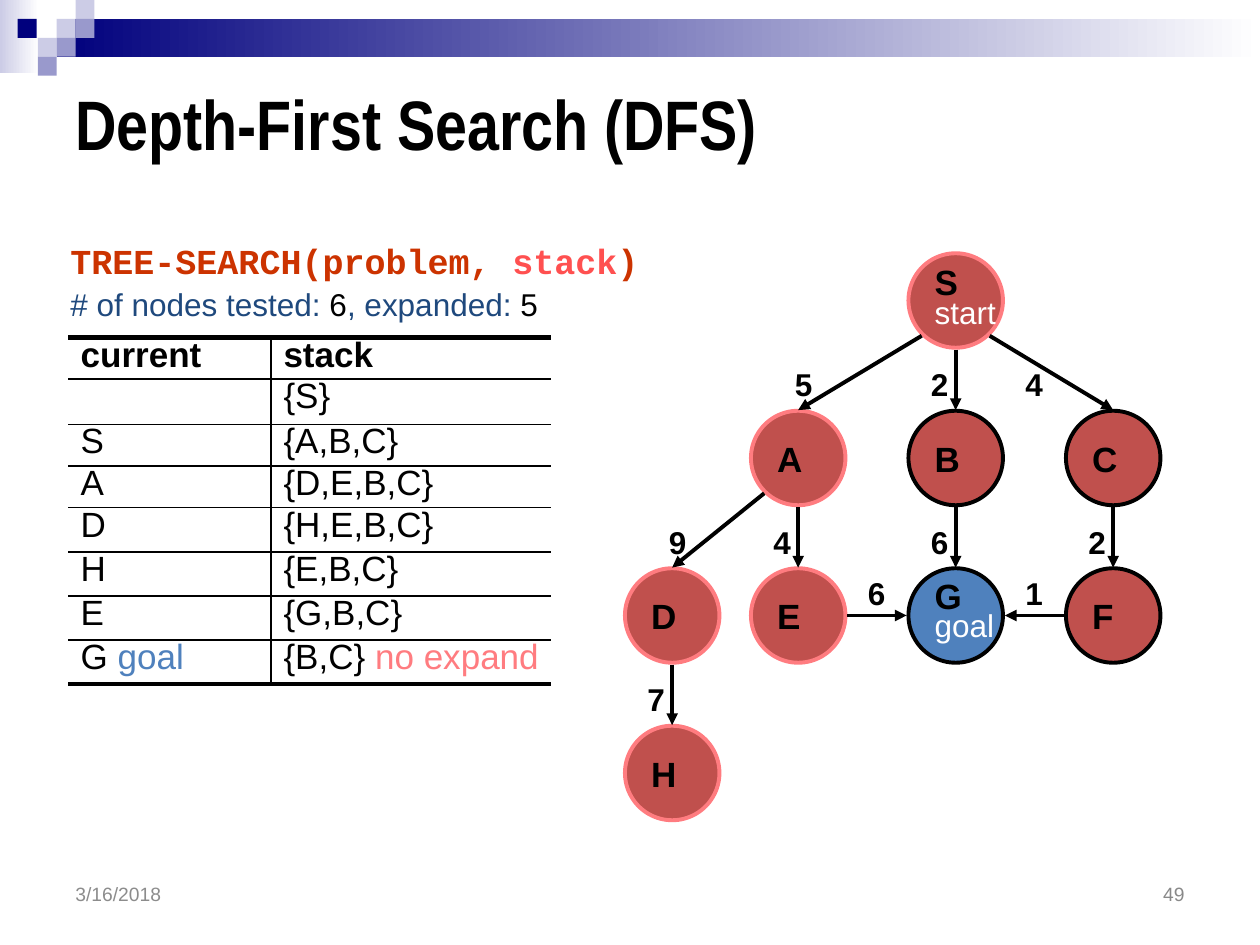
import dataclasses
import typing

import lxml.etree
import pptx
import pptx.dml.color
import pptx.enum.shapes
import pptx.enum.text
import pptx.oxml.ns
import pptx.util

Inches = pptx.util.Inches
Pt = pptx.util.Pt
SHAPE = pptx.enum.shapes.MSO_SHAPE
ANCHOR = pptx.enum.text.MSO_ANCHOR
ALIGN = pptx.enum.text.PP_ALIGN
AUTO = pptx.enum.text.MSO_AUTO_SIZE
qn = pptx.oxml.ns.qn

COLORS = {
    "black": "000000", "white": "FFFFFF", "navy": "00007D", "lilac": "CCCCE6",
    "violet": "9999CC", "red": "C0504D", "blue": "4F81BD", "pink": "FF7C80",
    "dark_blue": "1F497D", "rust": "CC3300", "coral": "FF5050",
    "date": "8C8C8C", "number": "898989",
}
NODE_SIZE = 0.75
ROW_TOPS = [2.01, 3.26, 4.51, 5.76]
COL_LEFTS = [4.96, 5.96, 7.21, 8.46]
TILE = 0.15


class Run(typing.NamedTuple):
    text: str
    size: float = 20
    color: str = "black"
    bold: bool = False
    name: str = "Arial"


class Para(typing.NamedTuple):
    runs: list[Run]
    fmt: dict[str, typing.Any] = {}


@dataclasses.dataclass
class Node:
    name: str
    col: int
    row: int
    line: str = "pink"
    fill: str = "red"
    paras: list[Para] | None = None

    @property
    def center(self) -> tuple[float, float]:
        return COL_LEFTS[self.col] + NODE_SIZE / 2, ROW_TOPS[self.row] + NODE_SIZE / 2


@dataclasses.dataclass
class Edge:
    start: str
    end: str
    weight: str
    label_dx: float = -0.295


NODES = [
    Node("S", 2, 0, paras=[Para([Run("S\n", bold=True), Run("start", 18, "white")],
                                {"line_spacing": 0.75})]),
    Node("A", 1, 1),
    Node("B", 2, 1, "black"),
    Node("C", 3, 1, "black"),
    Node("D", 0, 2),
    Node("E", 1, 2),
    Node("G", 2, 2, "black", "blue", [
        Para([Run("G", bold=True)], {"line_spacing": 0.65}),
        Para([Run("goal", 18, "white")], {"line_spacing": 0.75})]),
    Node("F", 3, 2, "black"),
    Node("H", 0, 3),
]
EDGES = [
    Edge("S", "A", "5", -0.125), Edge("S", "B", "2"), Edge("S", "C", "4", -0.795),
    Edge("A", "D", "9", -0.125), Edge("A", "E", "4"), Edge("B", "G", "6"),
    Edge("C", "F", "2"), Edge("E", "G", "6"), Edge("F", "G", "1"), Edge("D", "H", "7"),
]
TABLE_ROWS = [
    ([Run("current", bold=True)], [Run("stack", bold=True)]),
    ([], [Run("{S}")]),
    ([Run("S")], [Run("{A,B,C}")]),
    ([Run("A")], [Run("{D,E,B,C}")]),
    ([Run("D")], [Run("{H,E,B,C}")]),
    ([Run("H")], [Run("{E,B,C}")]),
    ([Run("E")], [Run("{G,B,C}")]),
    ([Run("G "), Run("goal", color="blue")],
     [Run("{B,C} "), Run("no expand", color="pink")]),
]
ROW_HEIGHTS = [0.33, 0.36, 0.33, 0.33, 0.35, 0.35, 0.35, 0.35]
COL_WIDTHS = [1.61, 2.22]
TILES = [(0.45, 0.15, "lilac"), (0.6, 0, "lilac"), (0.6, 0.15, "violet"),
         (0.3, 0.3, "lilac"), (0.14, 0.15, "navy"), (0.45, 0.3, "violet"),
         (0.3, 0.45, "violet")]


def rgb(key: str) -> pptx.dml.color.RGBColor:
    return pptx.dml.color.RGBColor.from_string(COLORS[key])


def apply(obj: typing.Any, fmt: dict[str, typing.Any]) -> None:
    for key, value in fmt.items():
        setattr(obj, key, value)


def write(tf: typing.Any, paras: list[Para]) -> None:
    for i, para in enumerate(paras):
        p = tf.add_paragraph() if i else tf.paragraphs[0]
        apply(p, {"alignment": ALIGN.LEFT, **para.fmt})
        for run in para.runs:
            r = p.add_run()
            r.text = run.text.rstrip("\n")
            apply(r.font, {"size": Pt(run.size), "name": run.name, "bold": run.bold})
            r.font.color.rgb = rgb(run.color)
            if run.text.endswith("\n"):
                p.add_line_break()


def add_text(s: typing.Any, box: tuple[float, ...], runs: list[Run],
             frame: dict[str, typing.Any] | None = None, align: typing.Any = ALIGN.LEFT) -> None:
    tf = s.shapes.add_textbox(*map(Inches, box)).text_frame
    apply(tf, frame or {"word_wrap": False, "auto_size": AUTO.SHAPE_TO_FIT_TEXT})
    write(tf, [Para(runs, {"alignment": align})])


def add_rect(s: typing.Any, box: tuple[float, ...], color: str, fade: bool = False) -> None:
    sp = s.shapes.add_shape(SHAPE.RECTANGLE, *map(Inches, box))
    sp.shadow.inherit = False
    sp.line.fill.background()
    if fade:
        sp.fill.gradient()
        sp.fill.gradient_angle = 0
        for stop, key in zip(sp.fill.gradient_stops, (color, "white")):
            stop.color.rgb = rgb(key)
    else:
        sp.fill.solid()
        sp.fill.fore_color.rgb = rgb(color)


def add_node(s: typing.Any, node: Node) -> None:
    box = COL_LEFTS[node.col], ROW_TOPS[node.row], NODE_SIZE, NODE_SIZE
    sp = s.shapes.add_shape(SHAPE.OVAL, *map(Inches, box))
    sp.shadow.inherit = False
    sp.fill.solid()
    sp.fill.fore_color.rgb = rgb(node.fill)
    sp.line.color.rgb = rgb(node.line)
    sp.line.width = Pt(2.25)
    apply(sp.text_frame, {"word_wrap": False, "vertical_anchor": ANCHOR.MIDDLE})
    write(sp.text_frame, node.paras or [Para([Run(node.name, bold=True)])])


def add_edge(s: typing.Any, edge: Edge, nodes: dict[str, Node]) -> None:
    (x1, y1), (x2, y2) = nodes[edge.start].center, nodes[edge.end].center
    dx, dy = (x2 > x1) - (x2 < x1), (y2 > y1) - (y2 < y1)
    if dy:
        label = x2 + edge.label_dx, y1 + 0.465
        out, into = (0.27 * dx, 0.28 if dx else 0.39), (0, -0.38)
    else:
        label = (x1 + x2) / 2 - 0.17, y1 - NODE_SIZE / 2
        out, into = (0.39 * dx, 0), (-0.39 * dx, 0)
    ends = x1 + out[0], y1 + out[1], x2 + into[0], y2 + into[1]
    cx = s.shapes.add_connector(pptx.enum.shapes.MSO_CONNECTOR.STRAIGHT, *map(Inches, ends))
    cx.line.color.rgb = rgb("black")
    cx.line.width = Pt(2.25)
    lxml.etree.SubElement(cx.line._get_or_add_ln(), qn("a:tailEnd"), type="triangle")
    lxml.etree.SubElement(cx._element.spPr, qn("a:effectLst"))
    add_text(s, (*label, 0.34, 0.4), [Run(edge.weight, 18, bold=True)])


def set_border(cell: typing.Any, side: str, width: float) -> None:
    ln = lxml.etree.SubElement(cell._tc.get_or_add_tcPr(), qn("a:ln" + side), w=str(Pt(width)))
    if width:
        fill = lxml.etree.SubElement(ln, qn("a:solidFill"))
        lxml.etree.SubElement(fill, qn("a:srgbClr"), val=COLORS["black"])
    else:
        lxml.etree.SubElement(ln, qn("a:noFill"))


def add_trace_table(s: typing.Any) -> None:
    box = 0.54, 2.68, sum(COL_WIDTHS), sum(ROW_HEIGHTS)
    last = len(TABLE_ROWS) - 1
    tbl = s.shapes.add_table(last + 1, 2, *map(Inches, box)).table
    apply(tbl, {"first_row": False, "horz_banding": False})
    for col, width in zip(tbl.columns, COL_WIDTHS):
        col.width = Inches(width)
    for i, (row, height) in enumerate(zip(TABLE_ROWS, ROW_HEIGHTS)):
        tbl.rows[i].height = Inches(height)
        for j, runs in enumerate(row):
            cell = tbl.cell(i, j)
            apply(cell, {"margin_left": Inches(0.1), "margin_top": Inches(0.01),
                         "margin_right": Inches(0.02), "margin_bottom": Inches(0.02)})
            widths = {"L": j, "R": 1 - j, "T": 1 if i else 3, "B": 3 if i == last else 1}
            for side, width in widths.items():
                set_border(cell, side, width)
            cell.fill.background()
            write(cell.text_frame, [Para(runs, {"line_spacing": 0.9, "space_before": Pt(2)})])


def main() -> None:
    prs = pptx.Presentation()
    apply(prs, {"slide_width": Inches(10), "slide_height": Inches(7.5)})
    s = prs.slides.add_slide(prs.slide_layouts[5])

    add_rect(s, (0, 0, 0.31, 0.58), "lilac", fade=True)
    add_rect(s, (0.45, 0.15, 9.55, 0.3), "navy", fade=True)
    for x, y, color in TILES:
        add_rect(s, (x, y, TILE, TILE), color)

    title = s.shapes.title
    apply(title, {"left": Inches(0.5), "top": Inches(0.45),
                  "width": Inches(9), "height": Inches(1.05)})
    title.text_frame.vertical_anchor = ANCHOR.MIDDLE
    write(title.text_frame, [Para([Run("Depth-First Search (DFS)", 40, bold=True,
                                       name="Arial Narrow")])])

    footer = {"word_wrap": True, "vertical_anchor": ANCHOR.MIDDLE}
    add_text(s, (0.5, 6.92, 2.33, 0.35), [Run("3/16/2018", 11, "date")], footer)
    add_text(s, (7.17, 6.92, 2.33, 0.35), [Run("49", 11, "number")], footer, ALIGN.RIGHT)
    add_text(s, (0.46, 2.21, 3.91, 0.4), [
        Run("# of nodes tested:", 18, "dark_blue"), Run(" 6", 18),
        Run(", expanded:", 18, "dark_blue"), Run(" 5", 18)])
    add_text(s, (0.46, 1.85, 4.75, 0.44), [
        Run(text, 20, color, True, "Courier New") for text, color in
        (("TREE-SEARCH(problem, ", "rust"), ("stack", "coral"), (")", "rust"))])
    add_trace_table(s)

    for node in NODES:
        add_node(s, node)
    nodes = {node.name: node for node in NODES}
    for edge in EDGES:
        add_edge(s, edge, nodes)
    prs.save("out.pptx")


if __name__ == "__main__":
    main()
